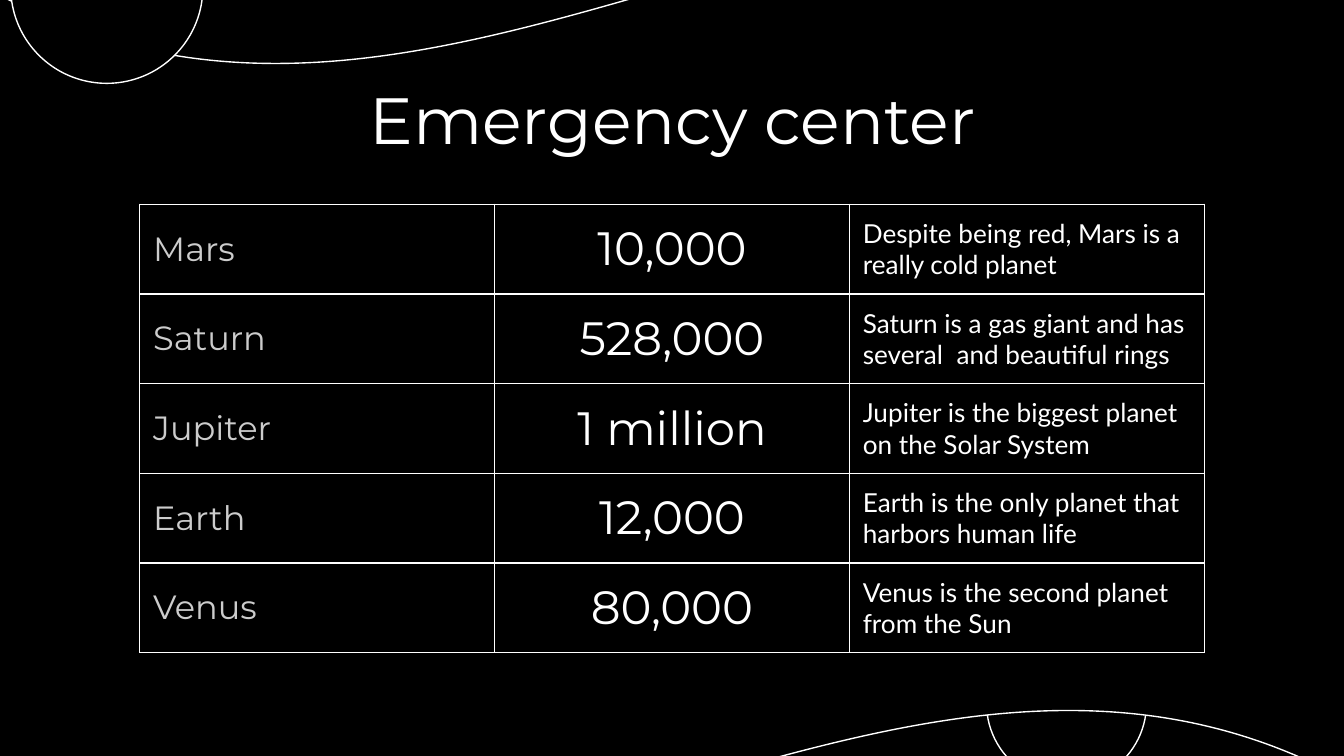
from lxml import etree
from pptx import Presentation
from pptx.dml.color import RGBColor
from pptx.enum import shapes, text
from pptx.oxml.ns import qn
from pptx.util import Inches, Pt

BLACK, WHITE, GREY = "000000", "FFFFFF", "CCCCCC"
HEADING_FONT, BODY_FONT = "Montserrat", "Lato"
LINE_WIDTH = Pt(0.75)
PADDING = Inches(0.1)

PLANETS = [
    ("Mars", "10,000", "Despite being red, Mars is a really cold planet"),
    ("Saturn", "528,000", "Saturn is a gas giant and has several  and beautiful rings"),
    ("Jupiter", "1 million", "Jupiter is the biggest planet on the Solar System"),
    ("Earth", "12,000", "Earth is the only planet that harbors human life"),
    ("Venus", "80,000", "Venus is the second planet from the Sun"),
]
COLUMN_FORMATS = [
    {"size": 18, "color": GREY},
    {"size": 25, "align": text.PP_ALIGN.CENTER},
    {"size": 14, "font": BODY_FONT},
]


def rgb(color):
    return RGBColor.from_string(color)


def write_text(frame, content, size, font=HEADING_FONT, color=WHITE,
               align=text.PP_ALIGN.LEFT):
    frame.word_wrap = True
    paragraph = frame.paragraphs[0]
    paragraph.alignment = align
    run = paragraph.add_run()
    run.text = content
    run.font.size = Pt(size)
    run.font.name = font
    run.font.color.rgb = rgb(color)


def add_outline(slide, kind, left, top, width, height):
    shape = slide.shapes.add_shape(
        kind, Inches(left), Inches(top), Inches(width), Inches(height))
    shape.shadow.inherit = False
    shape.fill.solid()
    shape.fill.fore_color.rgb = rgb(BLACK)
    shape.line.color.rgb = rgb(WHITE)
    shape.line.width = LINE_WIDTH
    return shape


def add_decoration(slide):
    circle = shapes.MSO_SHAPE.OVAL
    add_outline(slide, circle, 7.34, 4.64, 1.19, 1.19)
    wave = add_outline(slide, shapes.MSO_SHAPE.WAVE, -0.11, -0.69, 10.22, 7.14)
    wave.adjustments[0] = 0.083
    wave.adjustments[1] = 0
    wave._element.spPr.find(qn("a:xfrm")).set("flipH", "1")
    add_outline(slide, circle, 0.08, -0.81, 1.43, 1.43)


def add_title(slide, content):
    box = slide.shapes.add_textbox(
        Inches(0.79), Inches(0.49), Inches(8.43), Inches(0.63))
    frame = box.text_frame
    frame.margin_left = frame.margin_right = PADDING
    frame.margin_top = frame.margin_bottom = PADDING
    write_text(frame, content, 35, align=text.PP_ALIGN.CENTER)


def set_borders(cell, color):
    properties = cell._tc.get_or_add_tcPr()
    for position, side in enumerate(("a:lnL", "a:lnR", "a:lnT", "a:lnB")):
        line = etree.Element(qn(side), w=str(LINE_WIDTH))
        fill = etree.SubElement(line, qn("a:solidFill"))
        etree.SubElement(fill, qn("a:srgbClr"), val=color)
        properties.insert(position, line)


def add_planet_table(slide):
    column_width, row_height = 2.64, 0.42
    rows, columns = len(PLANETS), len(COLUMN_FORMATS)
    table = slide.shapes.add_table(
        rows, columns, Inches(1.04), Inches(1.52),
        Inches(column_width * columns), Inches(row_height * rows)).table
    table.first_row = table.horz_banding = False
    # Rows grow to fit their text
    for row, planet in zip(table.rows, PLANETS):
        row.height = Inches(row_height)
        for cell, content, style in zip(row.cells, planet, COLUMN_FORMATS):
            cell.fill.background()
            cell.vertical_anchor = text.MSO_ANCHOR.MIDDLE
            cell.margin_left = cell.margin_right = PADDING
            cell.margin_top = cell.margin_bottom = PADDING
            set_borders(cell, WHITE)
            write_text(cell.text_frame, content, **style)


def main():
    # Widescreen 16:9 slide
    presentation = Presentation()
    presentation.slide_width = Inches(10)
    presentation.slide_height = Inches(10) * 9 // 16
    slide = presentation.slides.add_slide(presentation.slide_layouts[6])

    # Background
    slide.background.fill.solid()
    slide.background.fill.fore_color.rgb = rgb(BLACK)
    add_decoration(slide)

    # Content
    add_title(slide, "Emergency center")
    add_planet_table(slide)

    presentation.save("out.pptx")


if __name__ == "__main__":
    main()
